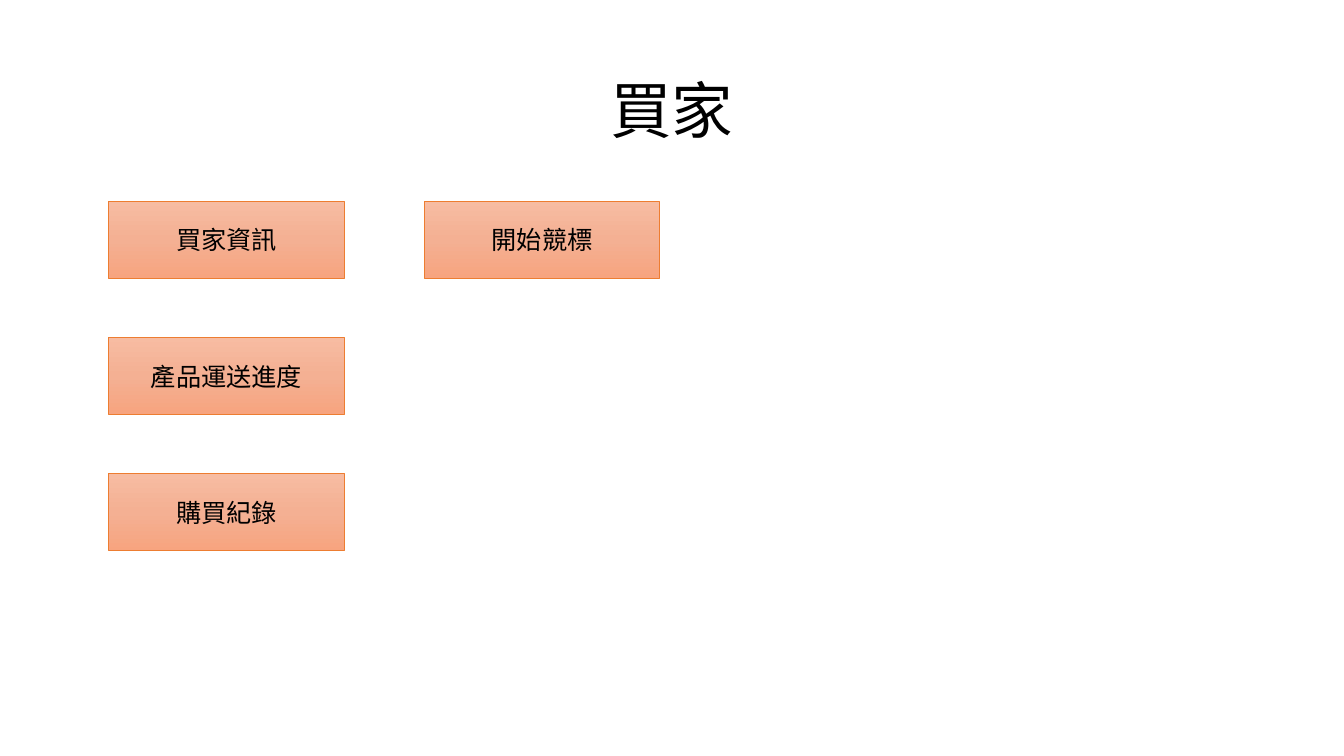
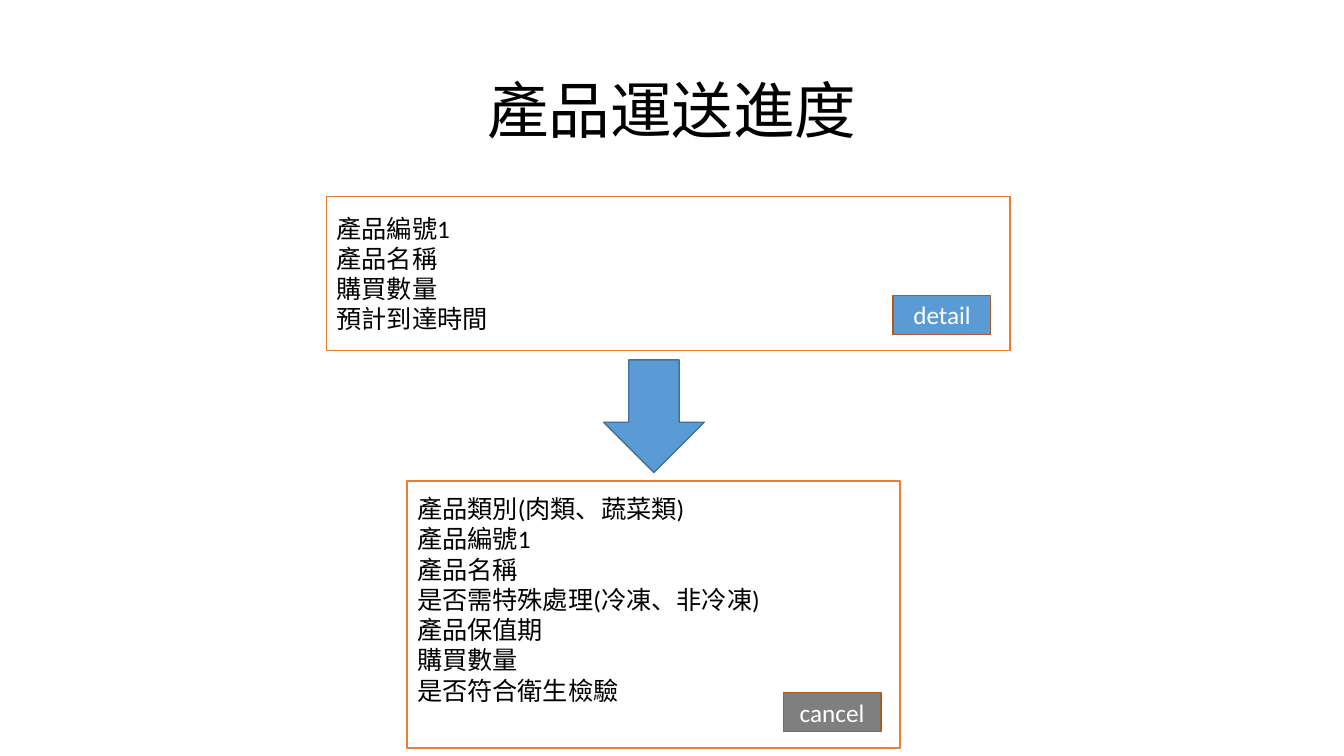
import copy

import pptx
import pptx.dml.color
import pptx.enum.shapes
import pptx.enum.text
import pptx.oxml.ns
import pptx.util

Cm = pptx.util.Cm
Pt = pptx.util.Pt
RGBColor = pptx.dml.color.RGBColor
SHAPES = pptx.enum.shapes.MSO_SHAPE
ALIGN = pptx.enum.text.PP_ALIGN
MIDDLE = pptx.enum.text.MSO_ANCHOR.MIDDLE

FONT = "Calibri"
BLACK = RGBColor(0x00, 0x00, 0x00)
WHITE = RGBColor(0xFF, 0xFF, 0xFF)
ORANGE = RGBColor(0xED, 0x7D, 0x31)
BROWN = RGBColor(0xAC, 0x5B, 0x23)
BLUE = RGBColor(0x5B, 0x9B, 0xD5)
DARK_BLUE = RGBColor(0x42, 0x71, 0x9B)
GRAY = RGBColor(0x7F, 0x7F, 0x7F)
MENU_GRADIENT = [
    (0, RGBColor(0xF7, 0xBC, 0xA2)),
    (0.5, RGBColor(0xF4, 0xB0, 0x93)),
    (1, RGBColor(0xF7, 0xA4, 0x7F)),
]

TITLE_BOX = (Cm(2.33), Cm(1.01), Cm(29.21), Cm(3.68))
LINE_HEIGHT = Cm(0.76)


def write_lines(shape, lines, size=18, color=BLACK, align=ALIGN.CENTER):
    """Write one paragraph per line, centred vertically in the shape."""
    frame = shape.text_frame
    frame.word_wrap = True
    frame.vertical_anchor = MIDDLE
    frame.text = "\n".join(lines)
    for paragraph in frame.paragraphs:
        paragraph.alignment = align
        paragraph.font.name = FONT
        paragraph.font.size = Pt(size)
        paragraph.font.color.rgb = color


def add_panel(slide, box, fill, line, kind=SHAPES.RECTANGLE, line_width=1):
    """Add an outlined shape without shadow; fill None leaves the fill open."""
    shape = slide.shapes.add_shape(kind, *box)
    shape.shadow.inherit = False
    shape.line.color.rgb = line
    shape.line.width = Pt(line_width)
    if fill is not None:
        shape.fill.solid()
        shape.fill.fore_color.rgb = fill
    return shape


def add_title_slide(presentation, title):
    """Add a blank slide with the shared title and return it."""
    slide = presentation.slides.add_slide(presentation.slide_layouts[6])
    title_box = slide.shapes.add_textbox(*TITLE_BOX)
    write_lines(title_box, [title], size=44)
    title_box.text_frame.paragraphs[0].line_spacing = 0.9
    return slide


def fill_menu_gradient(shape):
    """Fill the shape with the three-stop gradient, top to bottom."""
    shape.fill.gradient()
    shape.fill.gradient_angle = 270
    stop_list = shape.element.spPr.find(".//" + pptx.oxml.ns.qn("a:gsLst"))
    stop_list.append(copy.deepcopy(stop_list[0]))
    for stop, (position, color) in zip(shape.fill.gradient_stops, MENU_GRADIENT):
        stop.position = position
        stop.color.rgb = color


def add_menu(slide, left, top, columns):
    """Place menu buttons on a grid, one list of labels per column."""
    width, height = Cm(5.94), Cm(1.93)
    column_step, row_step = Cm(7.95), Cm(3.43)
    for column, labels in enumerate(columns):
        for row, label in enumerate(labels):
            box = (left + column * column_step, top + row * row_step, width, height)
            button = add_panel(slide, box, None, ORANGE, line_width=0.75)
            fill_menu_gradient(button)
            write_lines(button, [label])


def add_card(slide, box, lines, action, action_fill, spare_lines=0):
    """Add a card of left-aligned lines with a button in its lower right corner."""
    card = add_panel(slide, box, WHITE, ORANGE)
    write_lines(card, lines, align=ALIGN.LEFT)
    card.text_frame.margin_bottom = Cm(0.13) + spare_lines * LINE_HEIGHT

    left, top, width, height = box
    button_width, button_height = Cm(2.46), Cm(0.99)
    button_box = (
        left + width - Cm(0.48) - button_width,
        top + height - Cm(0.41) - button_height,
        button_width,
        button_height,
    )
    button = add_panel(slide, button_box, action_fill, BROWN)
    write_lines(button, [action], color=WHITE)


def add_buyer_slide(presentation):
    """Build the buyer's menu."""
    slide = add_title_slide(presentation, "買家")
    columns = [["買家資訊", "產品運送進度", "購買紀錄"], ["開始競標"]]
    add_menu(slide, Cm(2.74), Cm(5.08), columns)


def add_delivery_slide(presentation):
    """Build the delivery summary that leads down to its details."""
    slide = add_title_slide(presentation, "產品運送進度")
    summary_box = (Cm(8.23), Cm(4.95), Cm(17.22), Cm(3.89))
    summary = ["產品編號1", "產品名稱", "購買數量", "預計到達時間"]
    add_card(slide, summary_box, summary, "detail", BLUE)

    arrow_box = (Cm(15.21), Cm(9.07), Cm(2.54), Cm(2.84))
    add_panel(slide, arrow_box, BLUE, DARK_BLUE, SHAPES.DOWN_ARROW)

    detail_box = (Cm(10.26), Cm(12.12), Cm(12.42), Cm(6.73))
    details = [
        "產品類別(肉類、蔬菜類)",
        "產品編號1",
        "產品名稱",
        "是否需特殊處理(冷凍、非冷凍)",
        "產品保值期",
        "購買數量",
        "是否符合衛生檢驗",
    ]
    add_card(slide, detail_box, details, "cancel", GRAY, spare_lines=1)


presentation = pptx.Presentation()
presentation.slide_width = Cm(33.87)
presentation.slide_height = Cm(19.05)
add_buyer_slide(presentation)
add_delivery_slide(presentation)
presentation.save("out.pptx")
